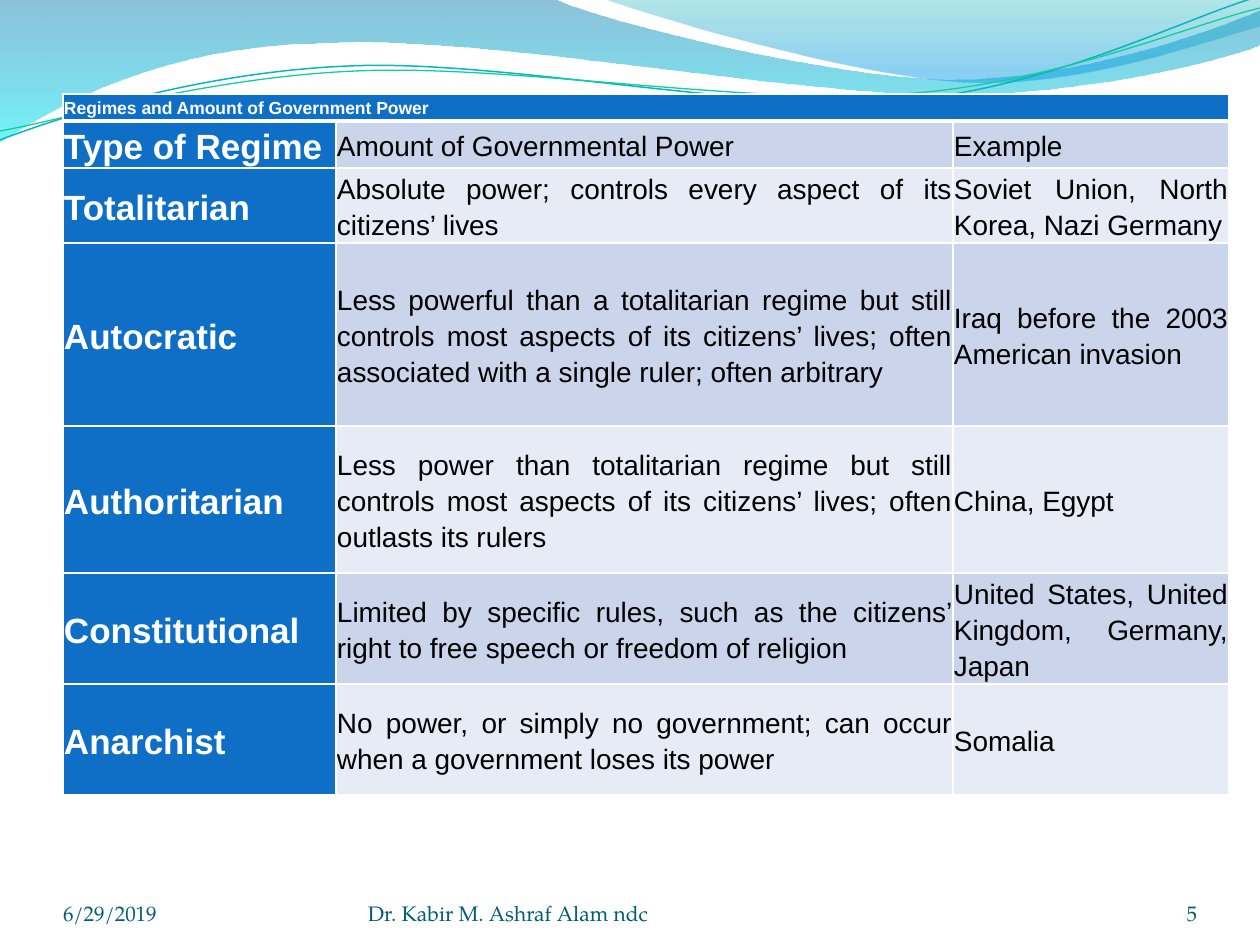
import math
from lxml import etree
from pptx import Presentation
from pptx import util as u
from pptx.dml.color import RGBColor
from pptx.enum import text as t
from pptx.oxml.ns import qn

PX = 914400 / 126  # EMU per px
WHITE = RGBColor(0xFF, 0xFF, 0xFF)
BLACK = RGBColor(0, 0, 0)
BLUE = RGBColor(0x0F, 0x6F, 0xC6)
BANDS = RGBColor(0xE6, 0xEB, 0xF5), RGBColor(0xCA, 0xD4, 0xEA)
DEEP = RGBColor(0x03, 0x5C, 0x75)
NAVY = RGBColor(0x00, 0x79, 0xAD)
CYAN = RGBColor(0x00, 0xE9, 0xF7)
TEAL = RGBColor(0x00, 0xAB, 0xB4)
SKY = RGBColor(0x00, 0x99, 0xE4)
AQUA = RGBColor(0x09, 0xB6, 0xBE)
GREEN = RGBColor(0x10, 0xCF, 0x9B)

prs = Presentation()
prs.slide_width, prs.slide_height = round(1260 * PX), round(945 * PX)
slide = prs.slides.add_slide(prs.slide_layouts[6])


def put(frame, words, size=16, color=BLACK, bold=False, font="Arial",
        align=t.PP_ALIGN.JUSTIFY, space=1.15):
    para = frame.paragraphs[0]
    para.alignment, para.line_spacing = align, space
    run = para.add_run()
    run.text = words
    run.font.size, run.font.bold, run.font.name = u.Pt(size), bold, font
    run.font.color.rgb = color


def trace(area, start, steps, turn=0, closed=True):
    """Outline in an area, from lines (2 numbers) and Bezier curves (6)."""
    left, top, wide, high = [round(n * PX) for n in area]
    pen = slide.shapes.build_freeform(left, top, scale=1.0)
    pen.add_line_segments([(left + wide, top + high)], close=closed)
    shape = pen.convert_to_shape()
    shape.shadow.inherit = False
    shape.rotation = turn

    # Level the points about the middle; the rotation tilts them back
    cos, sin = math.cos(math.radians(turn)), math.sin(math.radians(turn))
    path = next(shape._element.iter(qn("a:path")))
    for part in list(path):
        path.remove(part)
    for i, step in enumerate([start, *steps]):
        kind = "moveTo" if i == 0 else "lnTo" if len(step) == 2 else "cubicBezTo"
        part = etree.SubElement(path, qn("a:" + kind))
        for x, y in zip(step[::2], step[1::2]):
            dx = x * PX - left - wide / 2
            dy = y * PX - top - high / 2
            etree.SubElement(part, qn("a:pt"),
                             x=str(round(wide / 2 + dx * cos + dy * sin)),
                             y=str(round(high / 2 - dx * sin + dy * cos)))
    if closed:
        etree.SubElement(path, qn("a:close"))
    return shape


# Shaded waves: area, start, steps, gradient stops (place, colour, opacity %)
waves = [
    ((-1, -1, 1262, 143), (0, 0),
     [(554, -1), (600, 21, 837, 79, 955, 79), (1075, 79, 1207, 33, 1260, 11),
      (1261, 45), (1238, 55, 1096, 96, 940, 94), (784, 94, 481, 35, 324, 43),
      (163, 45, 58, 105, -1, 142), (0, 0)],
     [(0, NAVY, 45), (1, CYAN, 55)]),
    ((604, -1, 656, 88), (604, -1),
     [(641, 14, 859, 78, 969, 82), (1079, 87, 1211, 40, 1260, 26), (1260, 0), (604, -1)],
     [(0, TEAL, 30), (0.8, SKY, 45)]),
]
for area, start, steps, stops in waves:
    wave = trace(area, start, steps)
    wave.line.fill.background()
    wave.fill.gradient()
    wave.fill.gradient_angle = 270
    for stop, (place, color, clear) in zip(wave.fill.gradient_stops, stops):
        stop.position, stop.color.rgb = place, color
    tints = wave._element.spPr.iter(qn("a:srgbClr"))
    for tint, (place, color, clear) in zip(tints, stops):
        etree.SubElement(tint, qn("a:alpha"), val=str(clear * 1000))

# Thin wave lines
lines = [
    ((-2, 28, 1262, 89), (0, 140),
     [(60, 117, 199, 72, 349, 66), (498, 59, 747, 112, 898, 101),
      (1050, 89, 1182, 19, 1257, -3)], AQUA, 0.85),
    ((-2, 38, 1264, 73), (0, 131),
     [(59, 121, 207, 77, 357, 71), (508, 64, 752, 106, 903, 94),
      (1053, 84, 1186, 26, 1260, 8)], GREEN, 0.75),
]
for area, start, steps, color, width in lines:
    curl = trace(area, start, steps, turn=-2.7, closed=False)
    curl.fill.background()
    curl.line.color.rgb, curl.line.width = color, u.Pt(width)

# Table of regimes
rows = [
    ("Regimes and Amount of Government Power", "", ""),
    ("Type of Regime", "Amount of Governmental Power", "Example"),
    ("Totalitarian", "Absolute power; controls every aspect of its citizens’ lives",
     "Soviet Union, North Korea, Nazi Germany"),
    ("Autocratic", "Less powerful than a totalitarian regime but still controls most "
     "aspects of its citizens’ lives; often associated with a single ruler; "
     "often arbitrary", "Iraq before the 2003 American invasion"),
    ("Authoritarian", "Less power than totalitarian regime but still controls most "
     "aspects of its citizens’ lives; often outlasts its rulers", "China, Egypt"),
    ("Constitutional", "Limited by specific rules, such as the citizens’ right to free "
     "speech or freedom of religion", "United States, United Kingdom, Germany, Japan"),
    ("Anarchist", "No power, or simply no government; can occur when a government "
     "loses its power", "Somalia"),
]
wide = [273, 617, 276]
high = [27, 39, 75, 183, 147, 111, 111]
table = slide.shapes.add_table(len(rows), len(wide), round(63 * PX), round(94 * PX),
                               round(sum(wide) * PX), round(sum(high) * PX)).table
table.first_row = table.horz_banding = False
for col, size in zip(table.columns, wide):
    col.width = round(size * PX)
for row, size in zip(table.rows, high):
    row.height = round(size * PX)
table.cell(0, 0).merge(table.cell(0, 2))

for r, row in enumerate(rows):
    for c, words in enumerate(row):
        cell = table.cell(r, c)
        cell.vertical_anchor = t.MSO_ANCHOR.MIDDLE
        cell.margin_left = cell.margin_right = round(PX)
        cell.margin_top = cell.margin_bottom = round(PX)
        for side in "LRTB":
            thick = 3 if (r, side) in ((0, "B"), (1, "T")) else 1
            edge = etree.SubElement(cell._tc.get_or_add_tcPr(), qn("a:ln" + side),
                                    w=str(u.Pt(thick)))
            paint = etree.SubElement(edge, qn("a:solidFill"))
            etree.SubElement(paint, qn("a:srgbClr"), val=str(WHITE))
        head = r == 0 or c == 0
        cell.fill.solid()
        cell.fill.fore_color.rgb = BLUE if head else BANDS[r % 2]
        if words and head:
            put(cell.text_frame, words, size=20 if r else 10, color=WHITE, bold=True)
        elif words:
            put(cell.text_frame, words)

# Footer: number, date, author
LEFT, RIGHT = t.PP_ALIGN.LEFT, t.PP_ALIGN.RIGHT
for x, w, words, align in [(1092, 105, "5", RIGHT), (63, 294, "6/29/2019", LEFT),
                           (368, 462, "Dr. Kabir M. Ashraf Alam ndc", LEFT)]:
    box = slide.shapes.add_textbox(round(x * PX), round(876 * PX),
                                   round(w * PX), round(50 * PX))
    frame = box.text_frame
    frame.word_wrap = True
    frame.vertical_anchor = t.MSO_ANCHOR.BOTTOM
    frame.margin_left = frame.margin_right = frame.margin_top = frame.margin_bottom = 0
    put(frame, words, size=12, color=DEEP, font="TeX Gyre Pagella", align=align, space=1.0)

prs.save("out.pptx")
